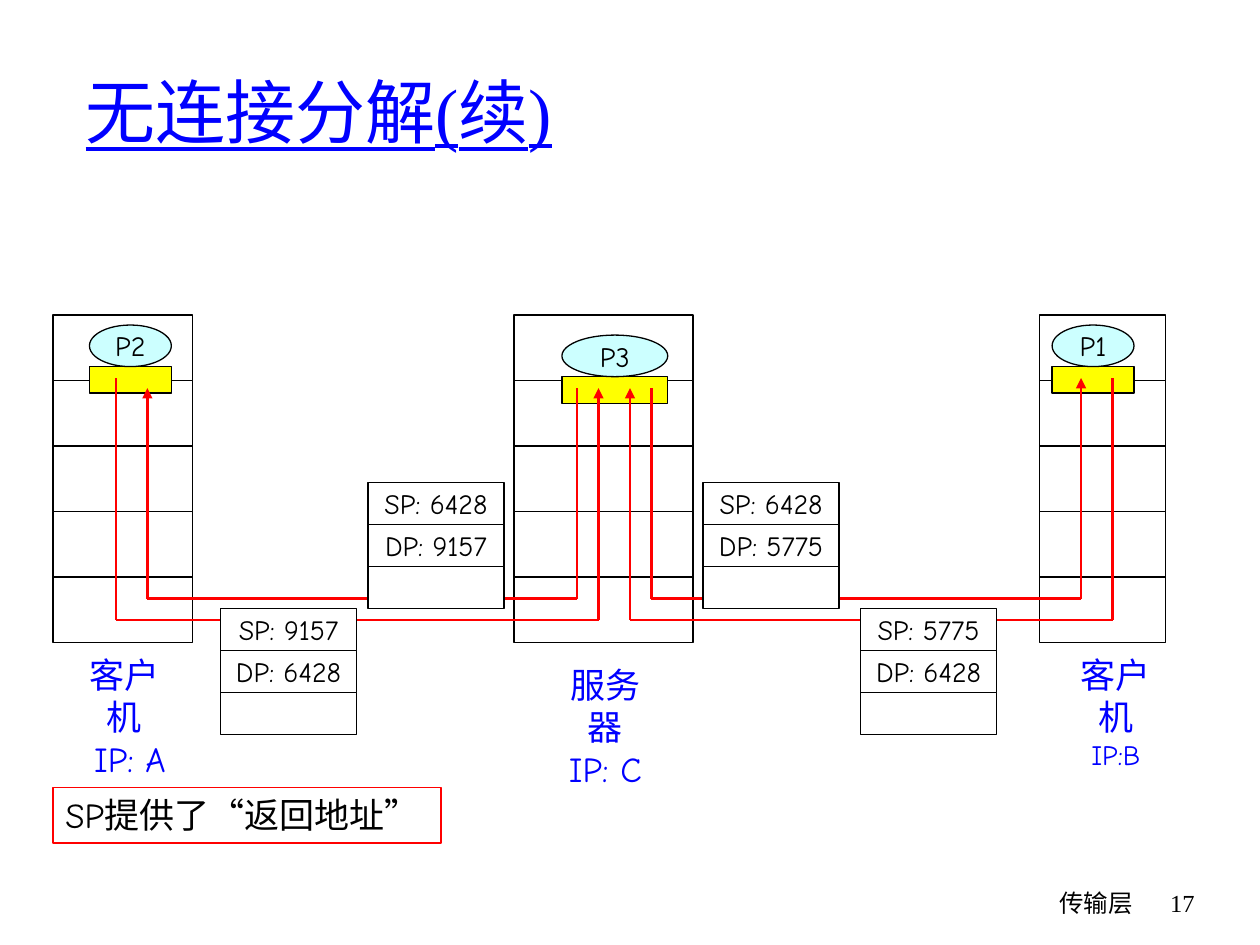
from itertools import pairwise

from lxml import etree
from pptx import Presentation
from pptx.dml.color import RGBColor
from pptx.enum.shapes import MSO_CONNECTOR, MSO_SHAPE
from pptx.enum.text import MSO_ANCHOR, MSO_AUTO_SIZE, PP_ALIGN
from pptx.oxml.ns import qn
from pptx.util import Inches, Pt

RECT, OVAL = MSO_SHAPE.RECTANGLE, MSO_SHAPE.OVAL
STRAIGHT = MSO_CONNECTOR.STRAIGHT
LEFT, CENTER, RIGHT = PP_ALIGN.LEFT, PP_ALIGN.CENTER, PP_ALIGN.RIGHT
TOP, MIDDLE = MSO_ANCHOR.TOP, MSO_ANCHOR.MIDDLE

COLORS = {
    "text": "000000",
    "heading": "0000FF",
    "layer": "FFFFFF",
    "process": "CCFFFF",
    "socket": "FFFF00",
    "route": "FF0000",
}
BODY_FONT, TITLE_FONT = "Comic Neue", "Times New Roman"

HOST_TOP, LAYER_HEIGHT, LAYER_COUNT = 2.5, 0.52, 5
PROCESS_HEIGHT, SOCKET_HEIGHT = 0.33, 0.21
SEGMENT_WIDTH, FIELD_HEIGHT = 1.08, 1 / 3

# host left, host width, process name, process left, process top, process width
HOSTS = [
    (0.42, 1.11, "P2", 0.71, 2.58, 0.65),
    (8.25, 1, "P1", 8.35, 2.58, 0.65),
    (4.08, 1.42, "P3", 4.46, 2.66, 0.84),
]
# left, top, height, lines with their sizes
HOST_LABELS = [
    (0.47, 5.14, 0.77, [("客户机", 20), (" IP: A", 20)]),
    (8.34, 5.14, 0.7, [("客户机", 20), ("IP:B", 16)]),
    (4.29, 5.22, 0.77, [("服务器", 20), ("IP: C", 20)]),
]
# sender x, sender y, turning y, receiver x, receiver y
ROUTES = [
    (0.92, 3, 4.92, 4.75, 3.08),
    (4.58, 3.08, 4.75, 1.17, 3.08),
    (8.83, 3, 4.92, 5, 3.08),
    (5.17, 3.08, 4.75, 8.58, 3),
]
# left, top, source port, destination port
SEGMENTS = [
    (2.92, 3.83, 6428, 9157),
    (1.75, 4.83, 9157, 6428),
    (5.58, 3.83, 6428, 5775),
    (6.83, 4.83, 5775, 6428),
]


def color(name):
    return RGBColor.from_string(COLORS[name])


def write(frame, lines, font=BODY_FONT, ink="text", align=CENTER, anchor=TOP, wrap=False):
    """Fill a text frame with (text, size) lines."""
    frame.word_wrap = wrap
    frame.vertical_anchor = anchor
    frame.text = "\n".join(text for text, _ in lines)
    for paragraph, (_, size) in zip(frame.paragraphs, lines):
        paragraph.alignment = align
        for run in paragraph.runs:
            run.font.name = font
            run.font.size = Pt(size)
            run.font.color.rgb = color(ink)


def add_title(slide, text):
    title = slide.shapes.title
    title.left, title.top = Inches(0.58), Inches(0.25)
    title.width, title.height = Inches(8.5), Inches(1.25)
    frame = title.text_frame
    frame.auto_size = MSO_AUTO_SIZE.NONE
    write(frame, [(text, 40)], TITLE_FONT, "heading", LEFT, MIDDLE, True)
    frame.paragraphs[0].runs[0].font.underline = True


def add_label(slide, left, top, width, height, lines, **style):
    box = slide.shapes.add_textbox(Inches(left), Inches(top), Inches(width), Inches(height))
    write(box.text_frame, lines, **style)


def add_box(slide, kind, left, top, width, height, fill=None, line="text"):
    box = slide.shapes.add_shape(kind, Inches(left), Inches(top), Inches(width), Inches(height))
    box.shadow.inherit = False
    if fill:
        box.fill.solid()
        box.fill.fore_color.rgb = color(fill)
    else:
        box.fill.background()
    box.line.color.rgb = color(line)
    box.line.width = Pt(0.75)
    return box


def add_host(slide, left, width, process, process_left, process_top, process_width):
    """Stack of protocol layers with a process on its socket."""
    for layer in range(LAYER_COUNT):
        add_box(slide, RECT, left, HOST_TOP + layer * LAYER_HEIGHT, width, LAYER_HEIGHT, "layer")
    add_box(slide, RECT, process_left, process_top + PROCESS_HEIGHT,
            process_width, SOCKET_HEIGHT, "socket")
    oval = add_box(slide, OVAL, process_left, process_top, process_width, PROCESS_HEIGHT, "process")
    write(oval.text_frame, [(process, 16)], anchor=MIDDLE)


def add_route(slide, start_x, start_y, turn_y, end_x, end_y):
    """Path down from one socket, across and up to another, with an arrowhead."""
    points = [(start_x, start_y), (start_x, turn_y), (end_x, turn_y), (end_x, end_y)]
    for (x1, y1), (x2, y2) in pairwise(points):
        leg = slide.shapes.add_connector(STRAIGHT, Inches(x1), Inches(y1), Inches(x2), Inches(y2))
        leg.line.color.rgb = color("route")
        leg.line.width = Pt(1.5)
        properties = leg.element.spPr
        etree.SubElement(properties, qn("a:effectLst"))
    etree.SubElement(properties.find(qn("a:ln")), qn("a:tailEnd"), type="triangle")


def add_segment(slide, left, top, source_port, destination_port):
    """Port fields above an empty payload field."""
    fields = [f"SP: {source_port}", f"DP: {destination_port}", None]
    for row, field in enumerate(fields):
        box = add_box(slide, RECT, left, top + row * FIELD_HEIGHT,
                      SEGMENT_WIDTH, FIELD_HEIGHT, "layer")
        if field:
            write(box.text_frame, [(field, 16)], anchor=MIDDLE)


def main():
    deck = Presentation()
    deck.slide_width, deck.slide_height = Inches(10), Inches(7.5)
    slide = deck.slides.add_slide(deck.slide_layouts[5])

    add_title(slide, "无连接分解(续)")
    add_label(slide, 5.92, 7, 3.17, 0.5, [("传输层", 14)], align=RIGHT, wrap=True)
    add_label(slide, 9.08, 7, 0.5, 0.5, [("17", 14)], font=TITLE_FONT, align=RIGHT, wrap=True)

    for host in HOSTS:
        add_host(slide, *host)
    for left, top, height, lines in HOST_LABELS:
        add_label(slide, left, top, 1.03, height, lines, ink="heading")
    for route in ROUTES:
        add_route(slide, *route)
    for segment in SEGMENTS:
        add_segment(slide, *segment)

    remark = add_box(slide, RECT, 0.42, 6.25, 3.08, 0.44, line="route")
    write(remark.text_frame, [("SP提供了“返回地址”", 20)], align=LEFT, wrap=True)

    deck.save("out.pptx")


if __name__ == "__main__":
    main()
